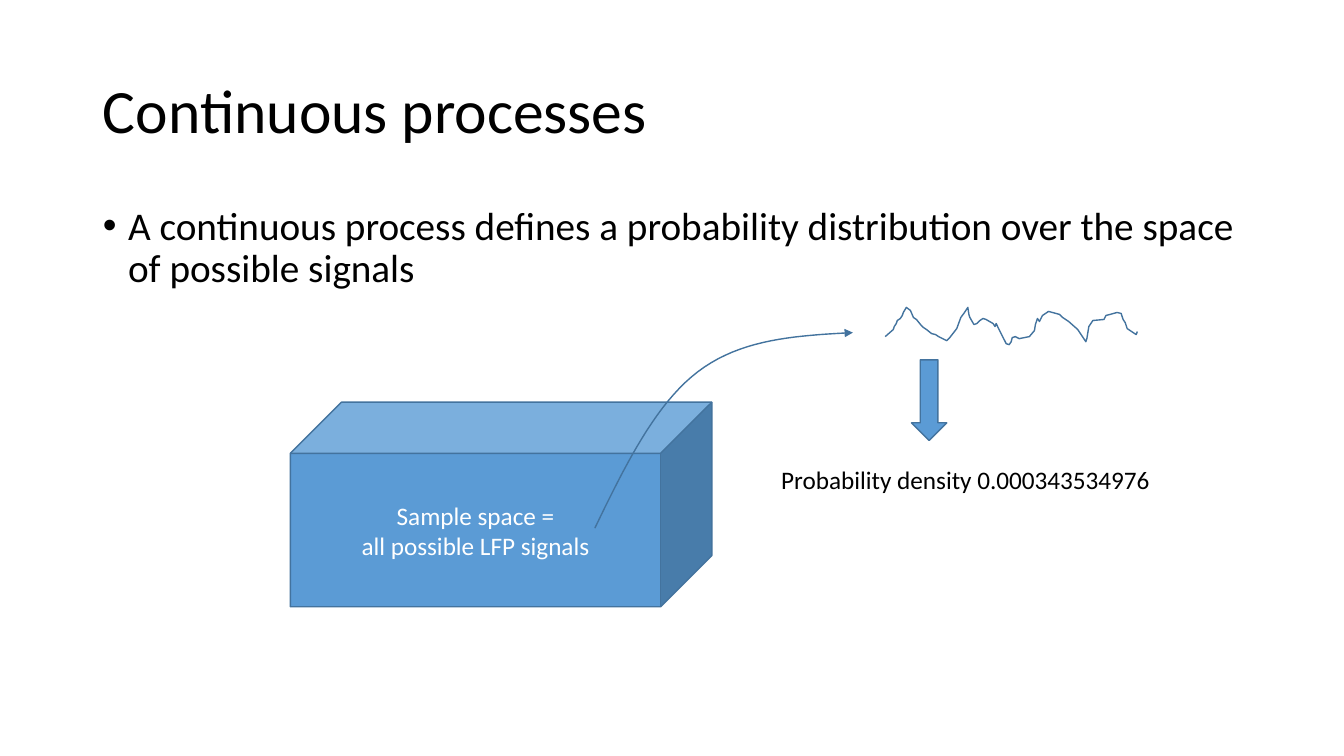
from lxml.etree import SubElement
from pptx import Presentation
from pptx.dml.color import RGBColor
from pptx.enum.shapes import MSO_SHAPE as Shape
from pptx.enum.text import MSO_ANCHOR as Anchor, MSO_AUTO_SIZE as AutoSize, PP_ALIGN as Align
from pptx.oxml.ns import qn
from pptx.util import Inches, Pt

COLOURS = {"text": "000000", "label": "FFFFFF", "fill": "5B9BD5", "line": "43739E"}
FONT = "Calibri"

# Turning points of the sampled signal, in inches from its box
SIGNAL = [
    (0, .29), (.08, .22), (.09, .19), (.11, .16), (.12, .13), (.15, .11), (.17, .08),
    (.18, .05), (.21, 0), (.25, .03), (.28, .1), (.31, .12), (.35, .17), (.38, .2),
    (.41, .22), (.46, .26), (.5, .27), (.53, .29), (.61, .33), (.64, .3), (.71, .21),
    (.75, .1), (.78, .06), (.82, 0), (.83, .07), (.84, .1), (.88, .17), (.91, .16),
    (.94, .13), (.97, .11), (1, .12), (1.07, .16), (1.09, .19), (1.1, .16), (1.14, .24),
    (1.16, .28), (1.2, .36), (1.23, .37), (1.25, .34), (1.26, .3), (1.29, .29),
    (1.33, .31), (1.43, .29), (1.48, .23), (1.49, .17), (1.51, .11), (1.53, .14),
    (1.56, .08), (1.62, .04), (1.73, .07), (1.76, .1), (1.82, .14), (1.91, .22),
    (1.95, .28), (1.99, .34), (2, .31), (2.02, .19), (2.06, .13), (2.17, .12),
    (2.19, .08), (2.23, .07), (2.3, .05), (2.34, .06), (2.36, .12), (2.38, .15),
    (2.4, .21), (2.46, .25), (2.49, .27), (2.5, .24),
]


def colour(name):
    return RGBColor.from_string(COLOURS[name])


def write(shape, text, size, ink="text", align=Align.LEFT, anchor=Anchor.TOP, spacing=1.0):
    frame = shape.text_frame
    frame.text = text
    frame.auto_size = AutoSize.NONE
    frame.vertical_anchor = anchor
    for para in frame.paragraphs:
        para.alignment = align
        para.line_spacing = spacing
        for span in para.runs:
            span.font.name, span.font.size = FONT, Pt(size)
            span.font.color.rgb = colour(ink)
    return frame


def place(shape, box):
    shape.left, shape.top, shape.width, shape.height = map(Inches, box)


def outline(shape):
    shape.shadow.inherit = False
    shape.line.color.rgb = colour("line")
    shape.line.width = Pt(1)


def add_solid(page, kind, box):
    solid = page.shapes.add_shape(kind, *map(Inches, box))
    solid.fill.solid()
    solid.fill.fore_color.rgb = colour("fill")
    outline(solid)
    return solid


def add_trace(page, left, top, points):
    corners = [(Inches(left + x), Inches(top + y)) for x, y in points]
    builder = page.shapes.build_freeform(*corners[0])
    builder.add_line_segments(corners[1:], close=False)
    trace = builder.convert_to_shape()
    trace.fill.background()
    outline(trace)
    return trace


def bezier(start, pull, push, end, steps=20):
    """Points along a cubic curve, without its start."""
    for step in range(1, steps + 1):
        t = step / steps
        weights = ((1 - t) ** 3, 3 * t * (1 - t) ** 2, 3 * t ** 2 * (1 - t), t ** 3)
        yield tuple(sum(w * point[axis] for w, point in zip(weights, (start, pull, push, end)))
                    for axis in (0, 1))


# Title and bullet
def add_heading(page, left, top, width):
    title, body = page.shapes.title, page.placeholders[1]
    place(title, (left, top, width, 1.45))
    write(title, "Continuous processes", 44, anchor=Anchor.MIDDLE, spacing=0.9)
    place(body, (left, top + 1.6, width, 4.76))
    frame = write(body, "A continuous process defines a probability distribution "
                  "over the space of possible signals", 28, spacing=0.9)
    para = frame.paragraphs[0]
    para.space_before = Pt(10)
    properties = para._p.get_or_add_pPr()
    properties.set("marL", str(Inches(0.25)))
    properties.set("indent", str(-Inches(0.25)))
    SubElement(properties, qn("a:buFont"), typeface="Arial")
    SubElement(properties, qn("a:buChar"), char="•")


# Cube of all signals, with the curve that draws one of them
def add_sample_space(page, left, top):
    cube = add_solid(page, Shape.CUBE, (left, top, 4.18, 2.03))
    write(cube, "Sample space =\nall possible LFP signals", 18, "label",
          Align.CENTER, Anchor.MIDDLE)
    start, bend, end = (0, 1.94), (1.02, 0.39), (2.56, 0)
    curve = [start, *bezier(start, (0.3, 1.32), (0.6, 0.71), bend),
             *bezier(bend, (1.45, 0.06), (2, 0.03), end)]
    arrow = add_trace(page, left + 3.02, top - 0.69, curve)
    SubElement(arrow.line._get_or_add_ln(), qn("a:tailEnd"), type="triangle")


# One signal and its probability density
def add_outcome(page, left, top):
    add_solid(page, Shape.DOWN_ARROW, (left + 1.39, top + 0.52, 0.35, 0.8))
    label = page.shapes.add_textbox(*map(Inches, (left, top + 1.51, 3.9, 0.4)))
    frame = write(label, "Probability density 0.000343534976", 18)
    frame.word_wrap = False
    add_trace(page, left + 1.13, top, SIGNAL)


def main():
    deck = Presentation()
    deck.slide_width, deck.slide_height = Inches(13.33), Inches(7.5)
    page = deck.slides.add_slide(deck.slide_layouts[1])
    add_heading(page, 0.92, 0.4, 11.5)
    add_sample_space(page, 2.88, 3.99)
    add_outcome(page, 7.65, 3.05)
    deck.save("out.pptx")


if __name__ == "__main__":
    main()
